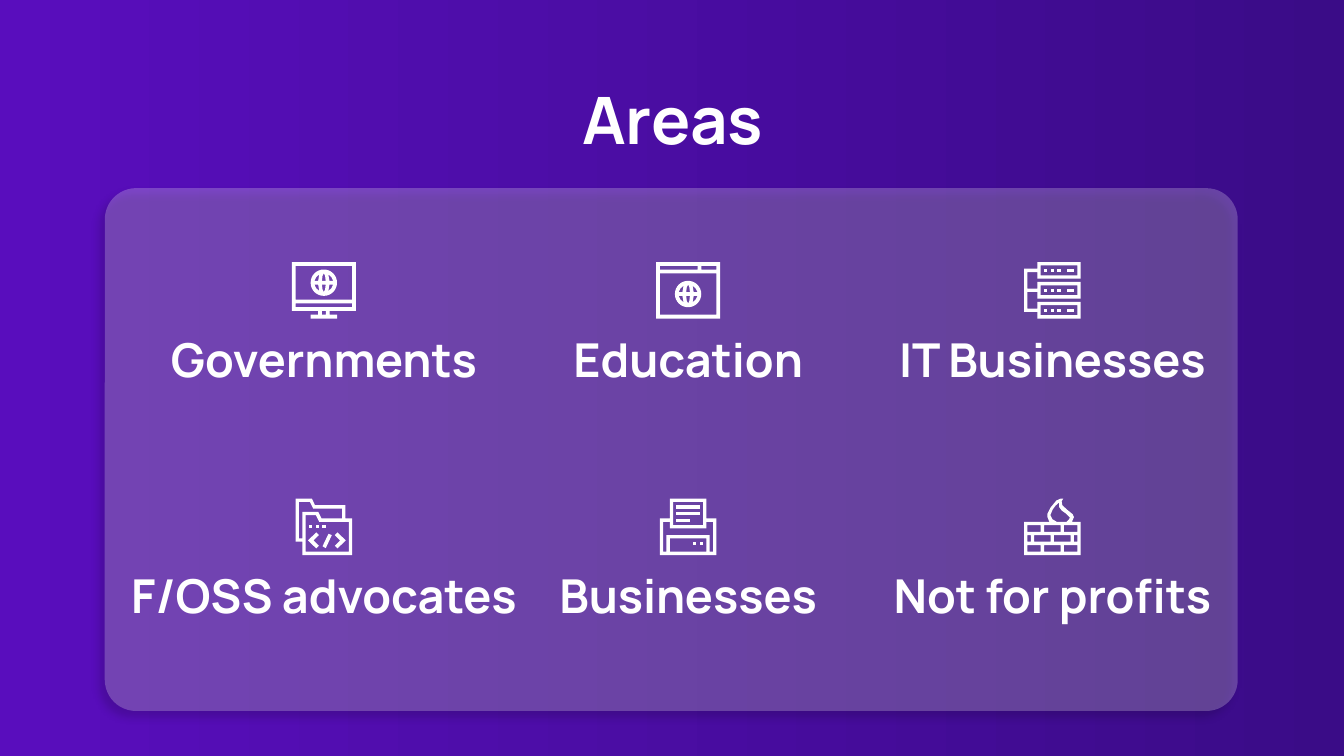
from lxml import etree
from pptx import Presentation
from pptx.dml.color import RGBColor
from pptx.enum.shapes import MSO_SHAPE as Shape
from pptx.enum.text import MSO_ANCHOR as Anchor, MSO_AUTO_SIZE as AutoSize, PP_ALIGN as Align
from pptx.oxml import parse_xml
from pptx.oxml.ns import nsdecls, qn
from pptx.util import Inches, Pt
from math import cos, pi, sin

WHITE = "FFFFFF"
color = RGBColor.from_string


def write(box, text, size):
    """Fill a box with one centred bold line."""
    frame = box.text_frame
    frame.word_wrap = True
    frame.auto_size = AutoSize.NONE
    frame.vertical_anchor = Anchor.TOP
    frame.margin_left = frame.margin_right = Inches(0.1)
    frame.margin_top = frame.margin_bottom = Inches(0.1)
    line = frame.paragraphs[0]
    line.alignment = Align.CENTER
    run = line.add_run()
    run.text = text
    run.font.name, run.font.size, run.font.bold = "Manrope", Pt(size), True
    run.font.color.rgb = color(WHITE)


def rect(left, top, right, bottom):
    return [(left, top), (left, bottom), (right, bottom), (right, top)]


# Widescreen slide, 16 by 9
prs = Presentation()
prs.slide_width = Inches(10)
prs.slide_height = prs.slide_width * 9 // 16
slide = prs.slides.add_slide(prs.slide_layouts[5])

# Background gradient
backdrop = slide.background.fill
backdrop.gradient()
backdrop.gradient_angle = 0
for stop, shade, place in zip(backdrop.gradient_stops, ("590DBD", "3A0C87"), (0, 1)):
    stop.color.rgb = color(shade)
    stop.position = place

# Title
title = slide.shapes.title
title.left, title.top, title.width, title.height = map(Inches, (0.79, 0.49, 8.43, 0.63))
write(title, "Areas", 35)

# Translucent panel with a soft shadow
panel = slide.shapes.add_shape(Shape.ROUNDED_RECTANGLE, *map(Inches, (0.78, 1.4, 8.43, 3.89)))
panel.adjustments[0] = 0.06
panel.fill.solid()
panel.fill.fore_color.rgb = color(WHITE)
panel.line.fill.background()
tint = panel.fill._xPr.find(qn("a:solidFill"))[0]
etree.SubElement(tint, qn("a:alpha"), val="23000")
panel._element.spPr.append(parse_xml(
    f'<a:effectLst {nsdecls("a")}><a:outerShdw blurRad="{Pt(4.5)}" dist="{Pt(4.5)}" '
    f'dir="{126 * 60000}" algn="bl" rotWithShape="0"><a:srgbClr val="000000">'
    '<a:alpha val="65000"/></a:srgbClr></a:outerShdw></a:effectLst>'))

# Globe outlines around (0, 0): disc, middle gaps, side gaps
globe = [[(3.5 * cos(a * pi / 16), 3.5 * sin(a * pi / 16)) for a in range(32)]]
for down in (-1, 1):
    lens = [(0, 2.5), (0.35, 1.8), (0.5, 0.5), (-0.5, 0.5), (-0.35, 1.8)]
    globe.append([(x, y * down) for x, y in lens])
    for across in (-1, 1):
        side = [(1.2, 2.2), (1.5, 0.5), (2.5, 0.5), (2, 1.5)]
        globe.append([(x * across, y * down) for x, y in side])
screen_globe, page_globe = ([[(x + 8.5, y + middle) for x, y in ring] for ring in globe]
                            for middle in (5.5, 8.5))

# Each icon is a list of pieces, each piece a list of outlines in grid units
monitor = [
    [[(0, 0), (0, 13), (7, 13), (7, 14), (5, 14), (5, 15), (12, 15), (12, 14),
      (10, 14), (10, 13), (17, 13), (17, 0)],
     rect(1, 1, 16, 10), rect(1, 11, 16, 12), rect(8, 13, 9, 14)],
    screen_globe]

browser = [
    [rect(0, 0, 17, 15), rect(1, 1, 11, 2), rect(12, 1, 16, 2), rect(1, 3, 16, 14)],
    page_globe]

servers = [
    [[(4, 0), (4, 2), (0, 2), (0, 15), (4, 15), (4, 17), (17, 17), (17, 12), (4, 12),
      (4, 14), (1, 14), (1, 9), (4, 9), (4, 11), (17, 11), (17, 6), (4, 6), (4, 8),
      (1, 8), (1, 3), (4, 3), (4, 5), (17, 5), (17, 0)],
     *(rect(5, y, 16, y + 3) for y in (1, 7, 13))],
    *([rect(x, y, x + wide, y + 1)] for y in (2, 8, 14)
      for x, wide in ((6, 1), (8, 1), (10, 1), (13, 2)))]

bracket = [(6.2, 10.2), (3.7, 12.6), (6.2, 15), (7, 14.2), (5.4, 12.6), (7, 11)]
folders = [
    [[(0, 0), (0, 13), (2, 13), (2, 17), (17, 17), (17, 6), (15, 6), (15, 2),
      (5.8, 2), (4.9, 0)],
     [(4.3, 1), (5.3, 3), (14, 3), (14, 6), (7.8, 6), (6.8, 4), (2, 4), (2, 12),
      (1, 12), (1, 1)],
     [(6.1, 5), (7.1, 7), (16, 7), (16, 16), (3, 16), (3, 5)]],
    *([rect(x, 8, x + 1, 9)] for x in (4, 6, 8)),
    [bracket], [[(18.8 - x, y) for x, y in bracket]],
    [[(9.9, 10.6), (8.1, 14.4), (9.1, 14.9), (10.9, 11)]]]

printer = [
    [[(3, 0), (3, 6), (0, 6), (0, 17), (17, 17), (17, 6), (14, 6), (14, 0)],
     rect(4, 1, 13, 8), rect(3, 12, 14, 16),
     [(16, 7), (16, 16), (15, 16), (15, 11), (2, 11), (2, 16), (1, 16), (1, 7),
      (3, 7), (3, 9), (14, 9), (14, 7)]],
    *([rect(x, 13, x + 1, 14)] for x in (10, 12)),
    *([rect(5, y, right, y + 1)] for y, right in ((2, 12), (4, 12), (6, 9)))]

bricks = {8: ((1, 5), (6, 11), (12, 16)),
          11: ((1, 2), (3, 8), (9, 14), (15, 16)),
          14: ((1, 5), (6, 11), (12, 16))}
firewall = [
    [[(11, 0), (9.7, 0.6), (7.9, 2.8), (7, 4.6), (7, 5.5), (7.6, 7), (0, 7), (0, 17),
      (17, 17), (17, 7), (14.4, 7), (15, 5.6), (14.6, 4.7), (13, 3.4), (11.5, 2),
      (11.3, 0.8), (11.8, 0)],
     [(10.5, 1.2), (10.5, 2.5), (11.3, 3.6), (12.7, 4.6), (13.8, 5.7), (13.5, 6.3),
      (12.8, 7), (9.8, 7), (8.5, 6.2), (7.9, 5), (8.6, 3.3), (9.5, 2.1)],
     *(rect(left, y, right, y + 2) for y, row in bricks.items() for left, right in row)]]

# Areas on a grid of three columns: label, label width, icon, icon rows
areas = [("Governments", 2.69, monitor, 15), ("Education", 2.47, browser, 15),
         ("IT Businesses", 3.01, servers, 17), ("F/OSS advocates", 3.37, folders, 17),
         ("Businesses", 2.47, printer, 17), ("Not for profits", 3.01, firewall, 17)]
ICON_HEIGHT = 0.42

for index, (area, width, icon, icon_rows) in enumerate(areas):
    row, column = divmod(index, 3)
    center, top = 2.41 + 2.71 * column, 1.95 + 1.76 * row
    label = slide.shapes.add_textbox(Inches(center - width / 2), Inches(top + 0.41),
                                     Inches(width), Inches(0.58))
    write(label, area, 25)

    unit = ICON_HEIGHT / icon_rows
    left = center - 8.5 * unit
    for piece in icon:
        outlines = [[(Inches(left + x * unit), Inches(top + y * unit)) for x, y in ring]
                    for ring in piece]
        builder = slide.shapes.build_freeform(*outlines[0][0])
        for ring in outlines:
            builder.move_to(*ring[0])
            builder.add_line_segments(ring[1:], close=True)
        drawing = builder.convert_to_shape()
        drawing.shadow.inherit = False
        drawing.fill.solid()
        drawing.fill.fore_color.rgb = color(WHITE)
        drawing.line.fill.background()

prs.save("out.pptx")
